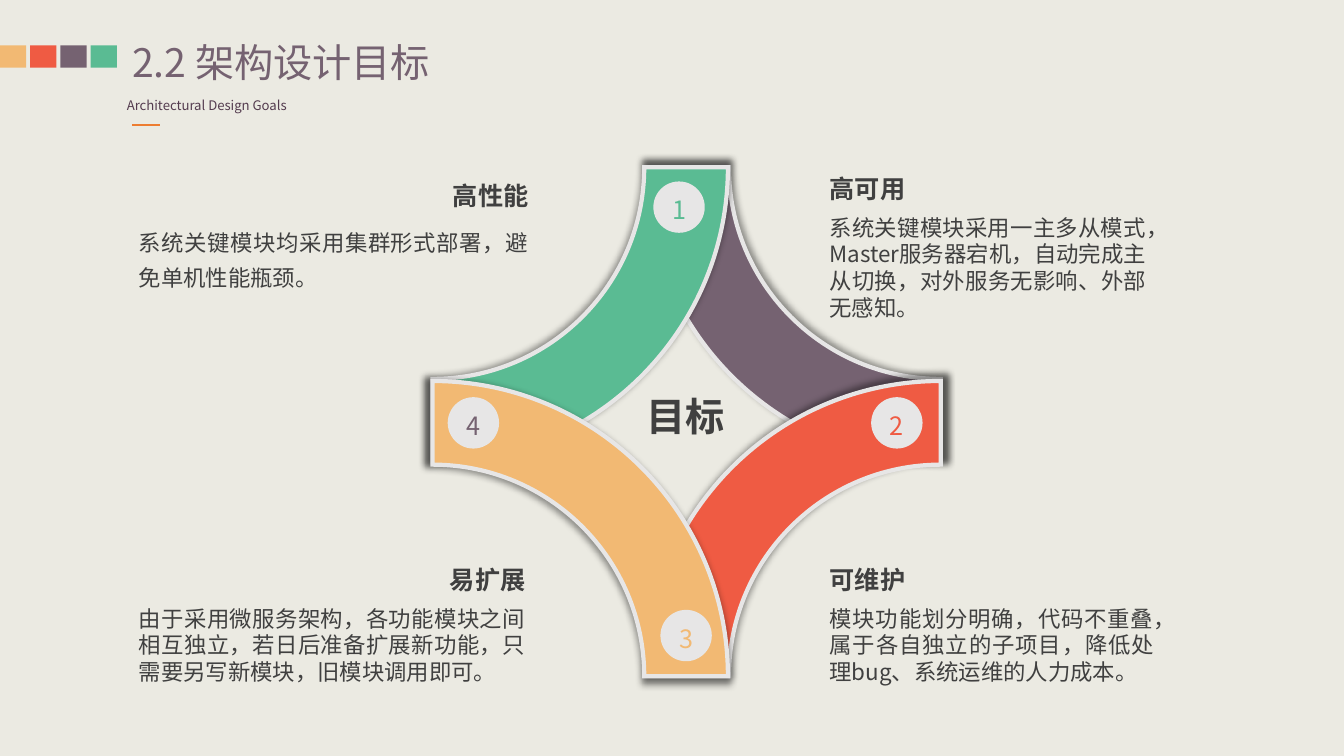
from pptx import Presentation
from pptx.dml.color import RGBColor
from pptx.enum.shapes import MSO_CONNECTOR, MSO_SHAPE
from pptx.enum.text import MSO_ANCHOR, MSO_AUTO_SIZE, PP_ALIGN
from pptx.oxml import parse_xml
from pptx.oxml.ns import nsdecls, qn
from pptx.util import Inches, Pt

FONT = "Noto Sans CJK SC"
ARC = 0.5523  # control handle length of a quarter circle, per unit of radius
COLORS = {
    "background": "EBEAE2", "amber": "F2B973", "red": "EF5B43",
    "purple": "756271", "green": "5ABB93", "subtitle": "543C4F",
    "rule": "ED7D31", "text": "404040", "light": "E7E6E6",
}


def color(name):
    return RGBColor.from_string(COLORS[name])


def write(shape, text, size, color_name, align=PP_ALIGN.LEFT, bold=False, leading=1.2):
    """Set one paragraph of text with a fixed line pitch."""
    shape.text_frame.text = text
    para = shape.text_frame.paragraphs[0]
    para.alignment = align
    para.line_spacing = Pt(round(size * leading, 1))
    for span in para.runs:
        font = span.font
        font.name, font.size, font.bold = FONT, Pt(size), bold
        font.color.rgb = color(color_name)
        font._element.get_or_add_latin().addnext(
            parse_xml(f'<a:ea {nsdecls("a")} typeface="{FONT}"/>'))


def add_text(page, box, *args, wrap=True, **options):
    text_box = page.shapes.add_textbox(*map(Inches, box))
    write(text_box, *args, **options)
    text_box.text_frame.word_wrap = wrap
    text_box.text_frame.auto_size = MSO_AUTO_SIZE.SHAPE_TO_FIT_TEXT


def add_solid(page, preset, box, color_name):
    shape = page.shapes.add_shape(preset, *map(Inches, box))
    shape.shadow.inherit = False
    shape.fill.solid()
    shape.fill.fore_color.rgb = color(color_name)
    shape.line.fill.background()
    return shape


def add_header(page, left, top):
    # Colour squares running in from the slide edge
    for index, name in enumerate(("amber", "red", "purple", "green")):
        add_solid(page, MSO_SHAPE.RECTANGLE, (index * 0.3, top + 0.07, 0.26, 0.22), name)

    # Title
    title = page.shapes.title
    title.left, title.top = Inches(left), Inches(top)
    title.width, title.height = Inches(3.99), Inches(0.47)
    write(title, "2.2 架构设计目标", 28, "purple")
    frame = title.text_frame
    frame.margin_left = frame.margin_right = frame.margin_top = frame.margin_bottom = 0
    frame.vertical_anchor = MSO_ANCHOR.MIDDLE
    frame.auto_size = MSO_AUTO_SIZE.NONE

    # Subtitle and short rule
    add_text(page, (left - 0.15, top + 0.53, 1.86, 0.26),
             "Architectural Design Goals", 9.33, "subtitle", wrap=False, leading=1.3)
    rule_y = Inches(top + 0.86)
    rule = page.shapes.add_connector(
        MSO_CONNECTOR.STRAIGHT, Inches(left), rule_y, Inches(left + 0.28), rule_y)
    rule.line.color.rgb = color("rule")
    rule.line.width = Pt(1.5)
    rule._element.spPr.append(parse_xml(f'<a:effectLst {nsdecls("a")}/>'))


def add_goal(page, box, heading, body, align, leading=1.2):
    left, top, width, height = box
    add_text(page, (left, top, width, 0.4), heading, 18, "text", align=align, bold=True)
    add_text(page, (left, top + 0.4, width, height - 0.4), body, 16, "text",
             align=PP_ALIGN.JUSTIFY, leading=leading)


def bend(outline, corners):
    """Turn three straight segments, from the first corner on, into one curve."""
    segments = outline.findall(qn("a:lnTo"))[corners]
    curve = parse_xml(f'<a:cubicBezTo {nsdecls("a")}/>')
    segments[0].addprevious(curve)
    for segment in segments:
        curve.append(segment[0])
        outline.remove(segment)


def add_band(page, center, directions, color_name, anchor, outer=2.93, inner=2.1):
    """Draw a quarter ring around center, opening towards directions."""
    def arc(radius):
        return [(Inches(center[0] + directions[0] * radius * x),
                 Inches(center[1] + directions[1] * radius * y))
                for x, y in ((1, 0), (1, ARC), (ARC, 1), (0, 1))]

    points = arc(outer) + arc(inner)[::-1]
    builder = page.shapes.build_freeform(*points[0], scale=1.0)
    builder.add_line_segments(points[1:], close=True)
    band = builder.convert_to_shape()
    outline = next(band._element.iter(qn("a:moveTo"))).getparent()
    bend(outline, slice(4, 7))
    bend(outline, slice(0, 3))

    band.fill.solid()
    band.fill.fore_color.rgb = color(color_name)
    band.line.color.rgb = color("light")
    band.line.width = Pt(3)
    band.line._get_or_add_ln().append(parse_xml(f'<a:miter {nsdecls("a")} lim="800000"/>'))
    band._element.spPr.append(parse_xml(
        f'<a:effectLst {nsdecls("a")}><a:outerShdw blurRad="{Pt(5)}" dist="0" '
        f'sx="102000" sy="102000" algn="{anchor}" rotWithShape="0">'
        '<a:srgbClr val="000000"><a:alpha val="40000"/></a:srgbClr>'
        '</a:outerShdw></a:effectLst>'))


def add_diagram(page, box):
    left, top, width, height = box
    right, bottom = left + width, top + height
    add_text(page, (left + 1.9, top + 2.18, 1.22, 0.57), "目标", 28, "text",
             align=PP_ALIGN.CENTER, bold=True)

    # Woven bands, back to front
    add_band(page, (right, top), (-1, 1), "purple", "bl")
    add_band(page, (left, top), (1, 1), "green", "br")
    add_band(page, (right, bottom), (-1, -1), "red", "bl")
    add_band(page, (left, bottom), (1, -1), "amber", "tr")

    # Number badges
    badges = [(2.19, 0.14, "green"), (4.35, 2.28, "red"),
              (2.26, 4.39, "amber"), (0.15, 2.28, "purple")]
    for number, (x, y, name) in enumerate(badges, 1):
        badge = add_solid(page, MSO_SHAPE.OVAL, (left + x, top + y, 0.51, 0.51), "light")
        write(badge, str(number), 18, name, align=PP_ALIGN.CENTER, leading=1.4)
        badge.text_frame.vertical_anchor = MSO_ANCHOR.MIDDLE


def main():
    deck = Presentation()
    deck.slide_width, deck.slide_height = Inches(13.33), Inches(7.5)
    page = deck.slides.add_slide(deck.slide_layouts[5])
    page.background.fill.solid()
    page.background.fill.fore_color.rgb = color("background")

    add_header(page, 1.31, 0.38)
    add_goal(page, (1.28, 1.74, 4.06, 1.17), "高性能",
             "系统关键模块均采用集群形式部署，避免单机性能瓶颈。",
             PP_ALIGN.RIGHT, leading=1.56)
    add_goal(page, (8.13, 1.67, 3.34, 1.85), "高可用",
             "系统关键模块采用一主多从模式，Master服务器宕机，自动完成主从切换，"
             "对外服务无影响、外部无感知。", PP_ALIGN.LEFT)
    add_goal(page, (1.28, 5.55, 4.03, 1.58), "易扩展",
             "由于采用微服务架构，各功能模块之间相互独立，若日后准备扩展新功能，"
             "只需要另写新模块，旧模块调用即可。", PP_ALIGN.RIGHT)
    add_goal(page, (8.13, 5.55, 3.42, 1.31), "可维护",
             "模块功能划分明确，代码不重叠，属于各自独立的子项目，"
             "降低处理bug、系统运维的人力成本。", PP_ALIGN.LEFT)
    add_diagram(page, (4.29, 1.66, 5.04, 5.05))
    deck.save("out.pptx")


if __name__ == "__main__":
    main()
